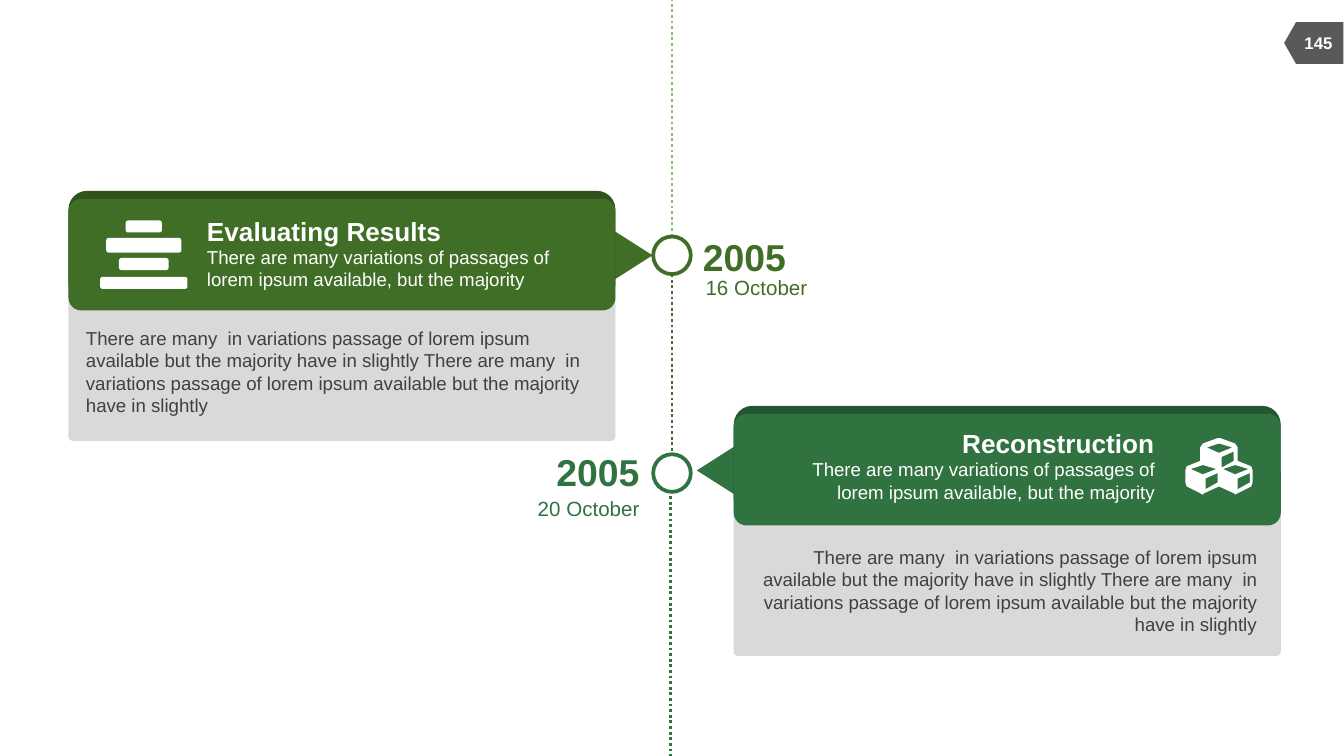
from dataclasses import dataclass
from math import cos, pi, sin

from lxml import etree
from pptx import Presentation
from pptx.dml.color import RGBColor
from pptx.enum.dml import MSO_LINE
from pptx.enum.shapes import MSO_CONNECTOR, MSO_SHAPE
from pptx.enum.text import MSO_ANCHOR, MSO_AUTO_SIZE, PP_ALIGN
from pptx.oxml.ns import qn
from pptx.util import Inches, Pt

LEFT, RIGHT, MID = PP_ALIGN.LEFT, PP_ALIGN.RIGHT, PP_ALIGN.CENTER
ROUND, OVAL = MSO_SHAPE.ROUNDED_RECTANGLE, MSO_SHAPE.OVAL
WEDGE, TAG = MSO_SHAPE.ISOSCELES_TRIANGLE, MSO_SHAPE.FLOWCHART_OFFPAGE_CONNECTOR
DOTS = MSO_LINE.ROUND_DOT
WIDE = 10
HIGH = WIDE * 9 / 16


@dataclass(frozen=True)
class Theme:
    font: str = "Arial"
    white: str = "FFFFFF"
    ink: str = "404040"
    panel: str = "D9D9D9"
    tag: str = "595959"
    lime: str = "82C06C"
    olive: str = "406E26"
    moss: str = "30521D"
    green: str = "307240"
    pine: str = "245630"
    page: int = 9
    body: int = 10
    date: int = 11
    head: int = 14
    year: int = 20


class Board:
    """Holds the theme and the current slide."""

    def __init__(self, theme, slide):
        self.theme = theme
        self.shapes = slide.shapes

    def paint(self, shape, fill, line=None, width=2):
        shape.shadow.inherit = False
        shape.fill.solid()
        shape.fill.fore_color.rgb = RGBColor.from_string(fill)
        if line:
            shape.line.color.rgb = RGBColor.from_string(line)
            shape.line.width = Pt(width)
        else:
            shape.line.fill.background()

    def shape(self, kind, x, y, w, h, fill, line=None, turn=0, adj=None):
        item = self.shapes.add_shape(kind, *map(Inches, (x, y, w, h)))
        item.rotation = turn
        if adj is not None:
            item.adjustments[0] = adj
        self.paint(item, fill, line)

    def text(self, text, x, y, w, h, size, color, bold=False, align=LEFT,
             wrap=False, anchor=MSO_ANCHOR.MIDDLE):
        frame = self.shapes.add_textbox(*map(Inches, (x, y, w, h))).text_frame
        frame.margin_left = frame.margin_right = 0
        frame.margin_top = frame.margin_bottom = 0
        frame.word_wrap = wrap
        frame.auto_size = MSO_AUTO_SIZE.SHAPE_TO_FIT_TEXT
        frame.vertical_anchor = anchor
        para = frame.paragraphs[0]
        para.alignment = align
        run = para.add_run()
        run.text = text
        run.font.name = self.theme.font
        run.font.size = Pt(size)
        run.font.bold = bold
        run.font.color.rgb = RGBColor.from_string(color)

    def line(self, x, top, end, color):
        item = self.shapes.add_connector(
            MSO_CONNECTOR.STRAIGHT, *map(Inches, (x, top, x, end)))
        item.line.color.rgb = RGBColor.from_string(color)
        item.line.width = Pt(1.5)
        item.line.dash_style = DOTS
        etree.SubElement(item._element.spPr, qn("a:effectLst"))

    def free(self, rings, fill):
        """Draw closed rings as one outline; inner rings become holes."""
        rings = [[(Inches(x), Inches(y)) for x, y in ring] for ring in rings]
        pen = self.shapes.build_freeform(*rings[0][0])
        for i, ring in enumerate(rings):
            if i:
                pen.move_to(*ring[0])
            pen.add_line_segments(ring[1:], close=True)
        self.paint(pen.convert_to_shape(), fill)

    def card(self, x, y, tone, cap, side, title, width, intro, note, head_at, note_at):
        """Draw one event card; side is the edge its text aligns to."""
        t = self.theme
        wide = 4.07
        # Panel, pointer and header
        self.shape(ROUND, x, y + 0.62, wide, 1.24, t.panel, adj=0.025)
        tip = 3.89 if side == LEFT else -0.33
        self.shape(WEDGE, x + tip, y + 0.28, 0.51, 0.4, tone,
                   turn=90 if side == LEFT else 270)
        self.shape(ROUND, x, y, wide, 0.83, cap)
        self.shape(ROUND, x, y + 0.06, wide, 0.83, tone, adj=0.113)
        # Header and body text
        span = 2.76
        shift = 0 if side == LEFT else span - width
        dx, dy = head_at
        self.text(title, x + dx + shift, y + dy, width, 0.24, t.head,
                  t.white, bold=True, align=side)
        self.text(intro, x + dx, y + dy + 0.23, span, 0.34, t.body, t.white,
                  align=side, wrap=True, anchor=MSO_ANCHOR.TOP)
        dx, dy = note_at
        self.text(note, x + dx, y + dy, 3.77, 0.67, t.body, t.ink,
                  align=side, wrap=True, anchor=MSO_ANCHOR.TOP)

    def stamp(self, y, tone, side, year, year_at, date, date_at):
        """Draw a ring on the time line with its year and date."""
        t = self.theme
        self.shape(OVAL, 4.86, y, 0.28, 0.28, t.white, line=tone)
        self.text(year, *year_at, 0.62, 0.34, t.year, tone, bold=True)
        self.text(date, *date_at, 0.76, 0.19, t.date, tone, align=side)


def bar(mid, y, w, h, r=0.02):
    """Return the ring of a bar with round corners, centred on mid."""
    spots = [(mid + w / 2 - r, y + h - r), (mid - w / 2 + r, y + h - r),
             (mid - w / 2 + r, y + r), (mid + w / 2 - r, y + r)]
    return [(cx + r * cos(a), cy + r * sin(a))
            for i, (cx, cy) in enumerate(spots)
            for a in ((i + k / 4) * pi / 2 for k in range(5))]


def cubes():
    """Return the outline of three stacked cubes and their open faces."""
    half = [(9.08, 3.26), (9.19, 3.3), (9.21, 3.33), (9.21, 3.43),
            (9.31, 3.47), (9.32, 3.5), (9.32, 3.59), (9.31, 3.62),
            (9.21, 3.67), (9.19, 3.68), (9.18, 3.67), (9.07, 3.62)]
    rim = half + [(18.14 - x, y) for x, y in reversed(half[:-1])]
    lid = [(9.05, 3.49), (8.95, 3.46), (8.86, 3.49), (8.95, 3.53)]
    face = [(9.06, 3.59), (9.06, 3.52), (8.97, 3.56), (8.97, 3.64)]
    moves = [(0, 0), (0.12, -0.16), (0.24, 0)]
    return [rim] + [[(x + dx, y + dy) for x, y in ring]
                    for dx, dy in moves for ring in (lid, face)]


def main():
    deck = Presentation()
    deck.slide_width, deck.slide_height = Inches(WIDE), Inches(HIGH)
    t = Theme()
    board = Board(t, deck.slides.add_slide(deck.slide_layouts[6]))

    # Page tag
    board.shape(TAG, 9.62, 0.1, 0.31, 0.44, t.tag, turn=90)
    board.text("145", 9.6, 0.17, 0.42, 0.3, t.page, t.white, bold=True, align=MID)

    # Time line
    board.line(5, 2.04, 3.38, t.olive)
    board.line(5, 1.76, 0, t.lime)
    board.line(4.99, 3.65, HIGH, t.green)

    # Events
    intro = ("There are many variations of passages of lorem ipsum available, "
             "but the majority")
    half = ("There are many  in variations passage of lorem ipsum available "
            "but the majority have in slightly")
    note = f"{half} {half}"
    board.card(0.51, 1.42, t.olive, t.moss, LEFT, "Evaluating Results", 1.75,
               intro, note, head_at=(1.03, 0.18), note_at=(0.13, 1.01))
    board.stamp(1.76, t.olive, LEFT, "2005", (5.23, 1.74),
                "16 October", (5.25, 2.04))
    board.card(5.46, 3.02, t.green, t.pine, RIGHT, "Reconstruction", 1.43,
               intro, note, head_at=(0.37, 0.16), note_at=(0.12, 1.04))
    board.stamp(3.38, t.green, RIGHT, "2005", (4.14, 3.34),
                "20 October", (4, 3.69))

    # Icons
    bars = [(1.64, 0.27, 0.09), (1.77, 0.56, 0.11), (1.92, 0.37, 0.09),
            (2.06, 0.65, 0.09)]
    board.free([bar(1.07, *size) for size in bars], t.white)
    board.free(cubes(), t.white)

    deck.save("out.pptx")


if __name__ == "__main__":
    main()
